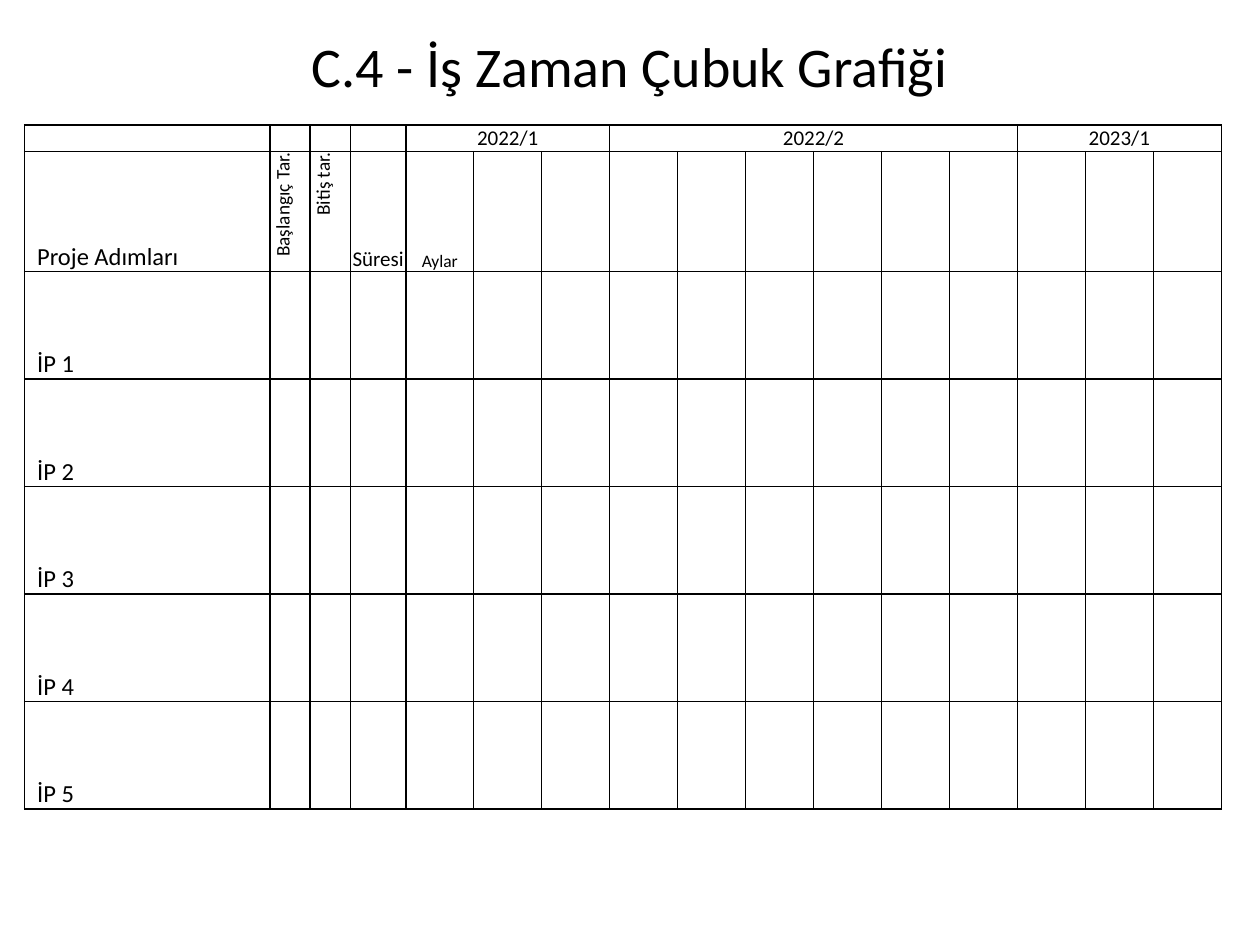
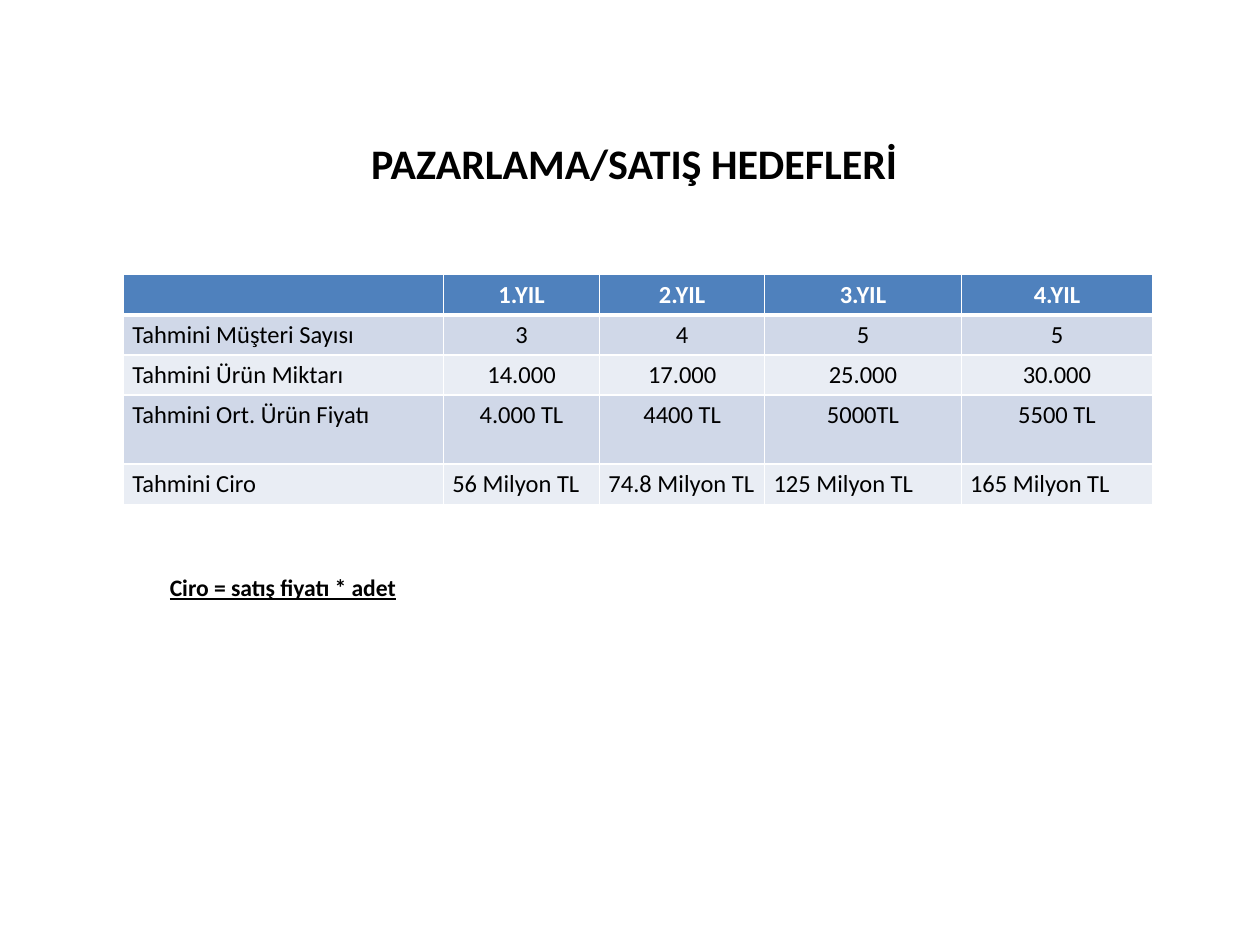
from dataclasses import dataclass

from pptx import Presentation
from pptx.dml.color import RGBColor
from pptx.enum.text import MSO_ANCHOR, PP_ALIGN
from pptx.oxml.xmlchemy import OxmlElement
from pptx.util import Inches, Pt

LEFT, CENTER, RIGHT = PP_ALIGN.LEFT, PP_ALIGN.CENTER, PP_ALIGN.RIGHT
TOP, MIDDLE, BOTTOM = MSO_ANCHOR.TOP, MSO_ANCHOR.MIDDLE, MSO_ANCHOR.BOTTOM

SLIDE_WIDTH, SLIDE_HEIGHT = Inches(10), Inches(7.5)
TITLE_ONLY = 5
FONT = "Calibri"
BLACK, WHITE, HEADER_BLUE = "000000", "FFFFFF", "4F81BD"
BANDS = ("D0D8E8", "E9EDF4")

MONTHS = 12
FIRST_MONTH = 4
SCHEDULE_COLUMNS = [1.95, 0.32, 0.32, 0.44] + [0.54] * MONTHS
SCHEDULE_ROWS = [0.21, 0.95] + [0.85] * 5
HALF_YEARS = (("2022/1", 3), ("2022/2", 6), ("2023/1", 3))

TARGET_COLUMNS = [2.54, 1.24, 1.31, 1.56, 1.52]
TARGET_ROWS = [0.32, 0.32, 0.32, 0.55, 0.32]
TARGETS = (
    ("", "1.YIL", "2.YIL", "3.YIL", "4.YIL"),
    ("Tahmini Müşteri Sayısı", "3", "4", "5", "5"),
    ("Tahmini Ürün Miktarı", "14.000", "17.000", "25.000", "30.000"),
    ("Tahmini Ort. Ürün Fiyatı", "4.000 TL", "4400 TL", "5000TL", "5500 TL"),
    ("Tahmini Ciro", "56 Milyon TL", "74.8 Milyon TL", "125 Milyon TL", "165 Milyon TL"),
)


@dataclass(frozen=True)
class Box:
    """A place on the slide, in percent of the slide's width and height."""
    left: float
    top: float
    width: float
    height: float

    def lengths(self) -> tuple[int, int, int, int]:
        return (int(SLIDE_WIDTH * self.left / 100), int(SLIDE_HEIGHT * self.top / 100),
                int(SLIDE_WIDTH * self.width / 100), int(SLIDE_HEIGHT * self.height / 100))


@dataclass(frozen=True)
class TextStyle:
    size: float
    color: str = BLACK
    bold: bool = False
    underline: bool = False
    align: PP_ALIGN = LEFT


@dataclass(frozen=True)
class CellStyle:
    """Margins are left, top, right and bottom in inches; borders are in points."""
    text: TextStyle
    margins: tuple[float, float, float, float]
    anchor: MSO_ANCHOR = TOP
    fill: str | None = None
    line: str = BLACK
    top_line: float = 1
    bottom_line: float = 1
    vertical: bool = False


def rgb(color: str) -> RGBColor:
    return RGBColor.from_string(color)


def write(frame, text: str, style: TextStyle) -> None:
    frame.text = text
    para = frame.paragraphs[0]
    para.alignment = style.align
    for span in para.runs:
        font = span.font
        font.name, font.size = FONT, Pt(style.size)
        font.bold, font.underline = style.bold, style.underline
        font.color.rgb = rgb(style.color)
    if not text:
        # An empty cell still needs a text size, or its row grows.
        end = OxmlElement("a:endParaRPr")
        end.set("sz", str(int(style.size * 100)))
        para._p.append(end)


def add_page(deck, title: str, box: Box, style: TextStyle):
    page = deck.slides.add_slide(deck.slide_layouts[TITLE_ONLY])
    heading = page.shapes.title
    heading.left, heading.top, heading.width, heading.height = box.lengths()
    write(heading.text_frame, title, style)
    heading.text_frame.vertical_anchor = MIDDLE
    return page


def add_grid(page, box: Box, columns: list[float], rows: list[float]):
    """Add a plain table whose columns and rows share the box by weight."""
    left, top, width, height = box.lengths()
    table = page.shapes.add_table(len(rows), len(columns), left, top, width, height).table
    table.first_row = table.horz_banding = False
    for column, weight in zip(table.columns, columns):
        column.width = int(width * weight / sum(columns))
    for row, weight in zip(table.rows, rows):
        row.height = int(height * weight / sum(rows))
    return table


def add_border(properties, side: str, color: str, points: float) -> None:
    line = OxmlElement(f"a:ln{side}")
    line.set("w", str(Pt(points)))
    fill = OxmlElement("a:solidFill")
    shade = OxmlElement("a:srgbClr")
    shade.set("val", color)
    fill.append(shade)
    line.append(fill)
    properties.append(line)


def fill_cell(cell, text: str, style: CellStyle) -> None:
    properties = cell._tc.get_or_add_tcPr()
    for side, points in (("L", 1), ("R", 1), ("T", style.top_line), ("B", style.bottom_line)):
        add_border(properties, side, style.line, points)
    if style.fill:
        cell.fill.solid()
        cell.fill.fore_color.rgb = rgb(style.fill)
    else:
        cell.fill.background()
    if style.vertical:
        properties.set("vert", "vert270")
    cell.margin_left, cell.margin_top, cell.margin_right, cell.margin_bottom = map(
        Inches, style.margins)
    cell.vertical_anchor = style.anchor
    write(cell.text_frame, text, style.text)


def schedule_style(size: float, align: PP_ALIGN = CENTER, indent: float = 0.01,
                   vertical: bool = False) -> CellStyle:
    return CellStyle(TextStyle(size, align=align), (indent, 0.01, 0.01, 0),
                     BOTTOM, vertical=vertical)


def add_schedule_page(deck) -> None:
    page = add_page(deck, "C.4 - İş Zaman Çubuk Grafiği", Box(5, 1.73, 90, 10.27),
                    TextStyle(32, align=CENTER))
    table = add_grid(page, Box(1.95, 13.2, 95, 72.4), SCHEDULE_COLUMNS, SCHEDULE_ROWS)

    plain = schedule_style(12)
    step = schedule_style(14, LEFT, indent=0.1)
    date = schedule_style(11, RIGHT, vertical=True)
    entries = {
        (1, 0): ("Proje Adımları", step),
        (1, 1): ("Başlangıç Tar.", date),
        (1, 2): ("Bitiş tar.", date),
        (1, 3): ("Süresi", plain),
        (1, FIRST_MONTH): ("Aylar", schedule_style(10)),
    }
    for number in range(1, 6):
        entries[number + 1, 0] = (f"İP {number}", step)
    column = FIRST_MONTH
    for half_year, months in HALF_YEARS:
        entries[0, column] = (half_year, plain)
        table.cell(0, column).merge(table.cell(0, column + months - 1))
        column += months

    for row in range(len(SCHEDULE_ROWS)):
        for column in range(len(SCHEDULE_COLUMNS)):
            text, style = entries.get((row, column), ("", plain))
            fill_cell(table.cell(row, column), text, style)


def target_style(row: int, column: int) -> CellStyle:
    header = row == 0
    last = row == len(TARGETS) - 1
    align = LEFT if column == 0 or last else CENTER
    text = TextStyle(14, WHITE if header else BLACK, bold=header, align=align)
    return CellStyle(text, (0.07, 0.04, 0.07, 0.04), line=WHITE,
                     fill=HEADER_BLUE if header else BANDS[(row - 1) % 2],
                     top_line=3 if row == 1 else 1, bottom_line=3 if header else 1)


def add_targets_page(deck) -> None:
    page = add_page(deck, "PAZARLAMA/SATIŞ HEDEFLERİ", Box(14.6, 13.73, 71.5, 7.07),
                    TextStyle(24, bold=True, align=CENTER))
    table = add_grid(page, Box(9.8, 29.07, 81.7, 24.3), TARGET_COLUMNS, TARGET_ROWS)
    for row, values in enumerate(TARGETS):
        for column, value in enumerate(values):
            fill_cell(table.cell(row, column), value, target_style(row, column))

    formula = page.shapes.add_textbox(*Box(12.5, 60, 30.3, 4.4).lengths()).text_frame
    formula.word_wrap = True
    write(formula, "Ciro = satış fiyatı * adet", TextStyle(13.5, bold=True, underline=True))


def main() -> None:
    deck = Presentation()
    deck.slide_width, deck.slide_height = SLIDE_WIDTH, SLIDE_HEIGHT
    add_schedule_page(deck)
    add_targets_page(deck)
    deck.save("out.pptx")


if __name__ == "__main__":
    main()
